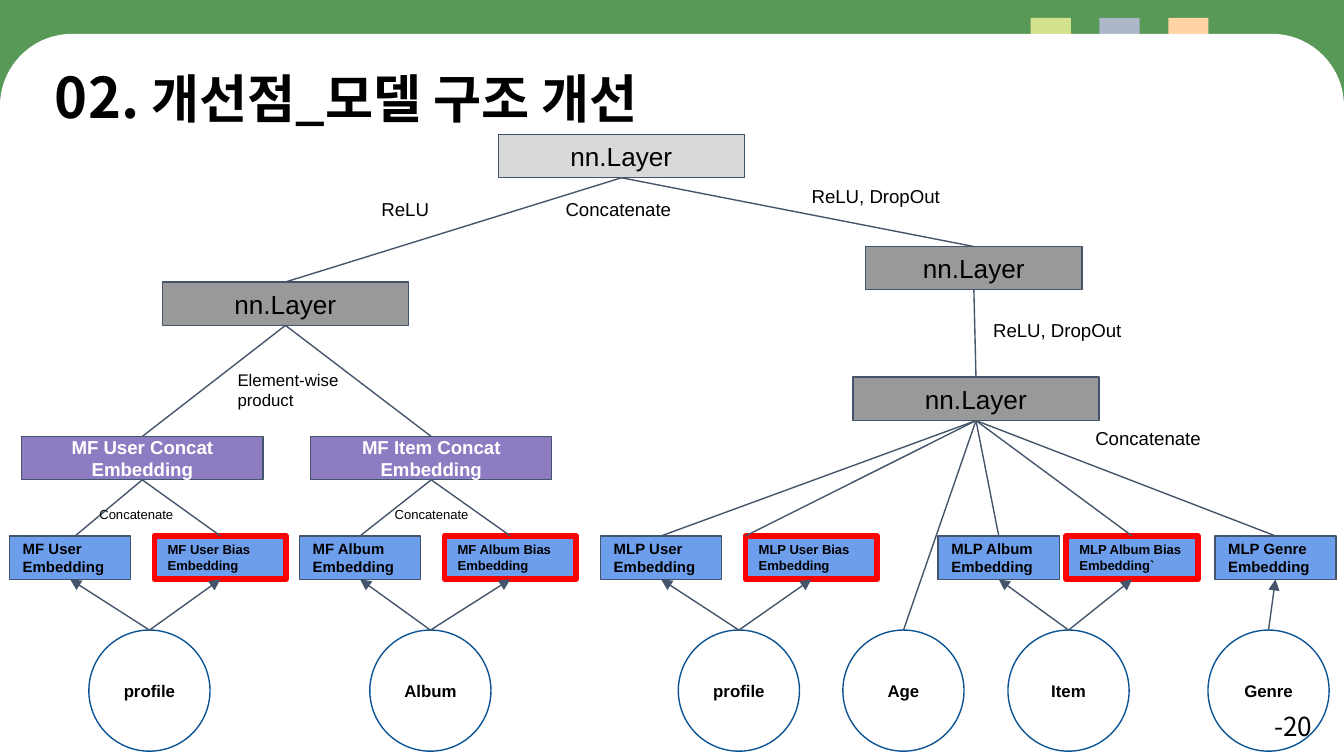
import pptx
import pptx.util
import pptx.dml.color
import pptx.enum.shapes
import pptx.enum.text
import pptx.oxml.ns
import lxml.etree

Cm = pptx.util.Cm
SHAPES = pptx.enum.shapes.MSO_SHAPE
ALIGN = pptx.enum.text.PP_ALIGN
ANCHOR = pptx.enum.text.MSO_ANCHOR
SLATE, RED, NAVY = "44546A", "FF0000", "0B5394"
KOREAN = "Noto Sans CJK KR"
BAR_HEIGHT = 0.82
EMBEDDING_TOP = 10.13
INPUT_TOP = 11.91
INPUT_SIZE = 2.29


def color(code):
    """Turn a hex string into a colour."""
    return pptx.dml.color.RGBColor.from_string(code)


def paint(fill, code):
    """Give a fill one solid colour."""
    fill.solid()
    fill.fore_color.rgb = color(code)


def add_run(paragraph, text, size, ink, bold, font):
    """Add one formatted run, with the font set for Korean too."""
    run = paragraph.add_run()
    run.text = text
    run.font.size = pptx.util.Pt(size)
    run.font.bold = bold
    run.font.color.rgb = color(ink)
    run.font.name = font
    east_asian = lxml.etree.SubElement(run._r.get_or_add_rPr(), pptx.oxml.ns.qn("a:ea"))
    east_asian.set("typeface", font)


def write(frame, text, size=10, ink="000000", bold=False, font="Arial",
          align=ALIGN.LEFT, anchor=ANCHOR.TOP, inset=(0.25, 0.25)):
    """Write text into a frame, one paragraph per line."""
    frame.word_wrap = True
    frame.vertical_anchor = anchor
    frame.margin_left = frame.margin_right = Cm(inset[0])
    frame.margin_top = frame.margin_bottom = Cm(inset[1])
    for index, line in enumerate(text.split("\n")):
        paragraph = frame.add_paragraph() if index else frame.paragraphs[0]
        paragraph.alignment = align
        add_run(paragraph, line, size, ink, bold, font)


def add_block(slide, kind, left, top, width, height, fill, line=None, weight=0.75):
    """Add a preset shape without a shadow."""
    block = slide.shapes.add_shape(kind, Cm(left), Cm(top), Cm(width), Cm(height))
    block.shadow.inherit = False
    paint(block.fill, fill)
    if line:
        block.line.color.rgb = color(line)
        block.line.width = pptx.util.Pt(weight)
    else:
        block.line.fill.background()
    return block


def add_bar(slide, text, left, top, width, fill, line=SLATE, weight=0.75, **style):
    """Add a rectangular node of the network."""
    bar = add_block(slide, SHAPES.RECTANGLE, left, top, width, BAR_HEIGHT, fill, line, weight)
    write(bar.text_frame, text, anchor=ANCHOR.MIDDLE, **style)
    return bar


def add_layer(slide, left, top, width=4.65, fill="999999"):
    """Add an nn.Layer node."""
    return add_bar(slide, "nn.Layer", left, top, width, fill, size=14, align=ALIGN.CENTER)


def add_concat(slide, text, left):
    """Add a concatenated embedding node."""
    return add_bar(slide, text, left, 8.25, 4.56, "8E7CC3", size=10, ink="FFFFFF",
                   bold=True, align=ALIGN.CENTER)


def add_embedding(slide, name, left):
    """Add an embedding node."""
    return add_bar(slide, f"{name}\nEmbedding", left, EMBEDDING_TOP, 2.29, "6D9EEB",
                   size=8, bold=True)


def add_bias(slide, text, left):
    """Add a red-framed bias embedding node."""
    return add_bar(slide, text, left, EMBEDDING_TOP, 2.49, "6D9EEB", RED, 3,
                   size=7, bold=True)


def add_input(slide, text, left):
    """Add a round input node."""
    circle = add_block(slide, SHAPES.OVAL, left, INPUT_TOP, INPUT_SIZE, INPUT_SIZE, "FFFFFF", NAVY)
    write(circle.text_frame, text, size=9, bold=True, align=ALIGN.CENTER, anchor=ANCHOR.MIDDLE)
    return circle


def add_label(slide, text, left, top, width=3.3, height=0.94, **style):
    """Add a free text label."""
    label = slide.shapes.add_textbox(Cm(left), Cm(top), Cm(width), Cm(height))
    write(label.text_frame, text, **style)


def link(slide, lower, upper, arrow=False, start=None):
    """Join the top of the lower node, or an x position on it, to the base of the upper one."""
    begin_x = lower.left + lower.width // 2 if start is None else Cm(start)
    edge = slide.shapes.add_connector(
        pptx.enum.shapes.MSO_CONNECTOR.STRAIGHT, begin_x, lower.top,
        upper.left + upper.width // 2, upper.top + upper.height)
    if start is None:
        edge.begin_connect(lower, 0)
    edge.end_connect(upper, 2)
    edge.line.color.rgb = color(SLATE)
    edge.line.width = pptx.util.Pt(0.75)
    if arrow:
        tail = lxml.etree.SubElement(edge.line._get_or_add_ln(), pptx.oxml.ns.qn("a:tailEnd"))
        tail.set("type", "triangle")
    lxml.etree.SubElement(edge._element.spPr, pptx.oxml.ns.qn("a:effectLst"))


def add_backdrop(slide):
    """Add the green ground, the coloured tabs and the white page."""
    paint(slide.background.fill, "589957")
    for index, tab in enumerate(("D3E18B", "ACB8CA", "FFD4A2")):
        add_block(slide, SHAPES.RECTANGLE, 19.48 + 1.3 * index, 0.34, 0.76, 0.74, tab)
    page = add_block(slide, SHAPES.ROUND_2_SAME_RECTANGLE, 0, 0.64, 25.4, 13.65, "FFFFFF")
    page.adjustments[0] = 0.1
    page.adjustments[1] = 0


def add_factorization(slide, output):
    """Add the matrix factorization branch."""
    layer = add_layer(slide, 3.07, 5.33)
    link(slide, layer, output)
    branches = (("User", "User", "profile", 0.41, 0.18, 2.92, 1.68, 1.42),
                ("Item", "Album", "Album", 5.87, 5.66, 8.4, 6.99, None))
    for side, name, source, concat_x, embedding_x, bias_x, input_x, start in branches:
        concat = add_concat(slide, f"MF {side} Concat Embedding", concat_x)
        embedding = add_embedding(slide, f"MF {name}", embedding_x)
        bias = add_bias(slide, f"MF {name} Bias Embedding", bias_x)
        source_node = add_input(slide, source, input_x)
        link(slide, concat, layer)
        link(slide, embedding, concat, start=start)
        link(slide, bias, concat)
        for target in (embedding, bias):
            link(slide, source_node, target, arrow=True)


def add_perceptron(slide, output):
    """Add the multilayer perceptron branch."""
    upper_layer = add_layer(slide, 16.36, 4.66, width=4.09)
    lower_layer = add_layer(slide, 16.12, 7.13)
    link(slide, upper_layer, output)
    link(slide, lower_layer, upper_layer)
    user = add_embedding(slide, "MLP User", 11.35)
    user_bias = add_bias(slide, "MLP User Bias Embedding", 14.09)
    album = add_embedding(slide, "MLP Album", 17.73)
    album_bias = add_bias(slide, "MLP Album Bias Embedding`", 20.15)
    genre = add_embedding(slide, "MLP Genre", 22.96)
    age = add_input(slide, "Age", 15.93)
    for node in (user, album, album_bias, genre, age):
        link(slide, node, lower_layer)
    link(slide, user_bias, lower_layer, start=14.09)
    inputs = (("profile", 12.82, (user, user_bias)), ("Item", 19.05, (album, album_bias)),
              ("Genre", 22.83, (genre,)))
    for source, left, targets in inputs:
        source_node = add_input(slide, source, left)
        for target in targets:
            link(slide, source_node, target, arrow=True)


def main():
    """Build the slide."""
    deck = pptx.Presentation()
    deck.slide_width, deck.slide_height = Cm(25.4), Cm(14.29)
    slide = deck.slides.add_slide(deck.slide_layouts[6])
    add_backdrop(slide)
    output = add_layer(slide, 9.42, 2.54, fill="D9D9D9")
    add_factorization(slide, output)
    add_perceptron(slide, output)
    for text, left, top, size in (
            ("ReLU", 6.96, 3.53, 10), ("Concatenate", 10.44, 3.53, 10),
            ("ReLU, DropOut", 15.09, 3.28, 10), ("ReLU, DropOut", 18.52, 5.82, 10),
            ("Concatenate", 20.45, 7.85, 10), ("Concatenate", 1.63, 9.42, 7),
            ("Concatenate", 7.21, 9.42, 7)):
        add_label(slide, text, left, top, size=size)
    add_label(slide, "Element-wise\u0020product", 4.24, 6.73, 3.48, 1.27, size=9)
    add_label(slide, "-20", 23.72, 13.18, 1.45, 1.12, size=14, font=KOREAN, align=ALIGN.CENTER)
    heading = slide.shapes.add_textbox(Cm(0.86), Cm(1.09), Cm(17.63), Cm(1.47))
    write(heading.text_frame, "02. ", size=30, bold=True, font=KOREAN, inset=(0.18, 0.1))
    add_run(heading.text_frame.paragraphs[0], "개선점_모델 구조 개선", 28, "000000", True, KOREAN)


    deck.save("out.pptx")


if __name__ == "__main__":
    main()
